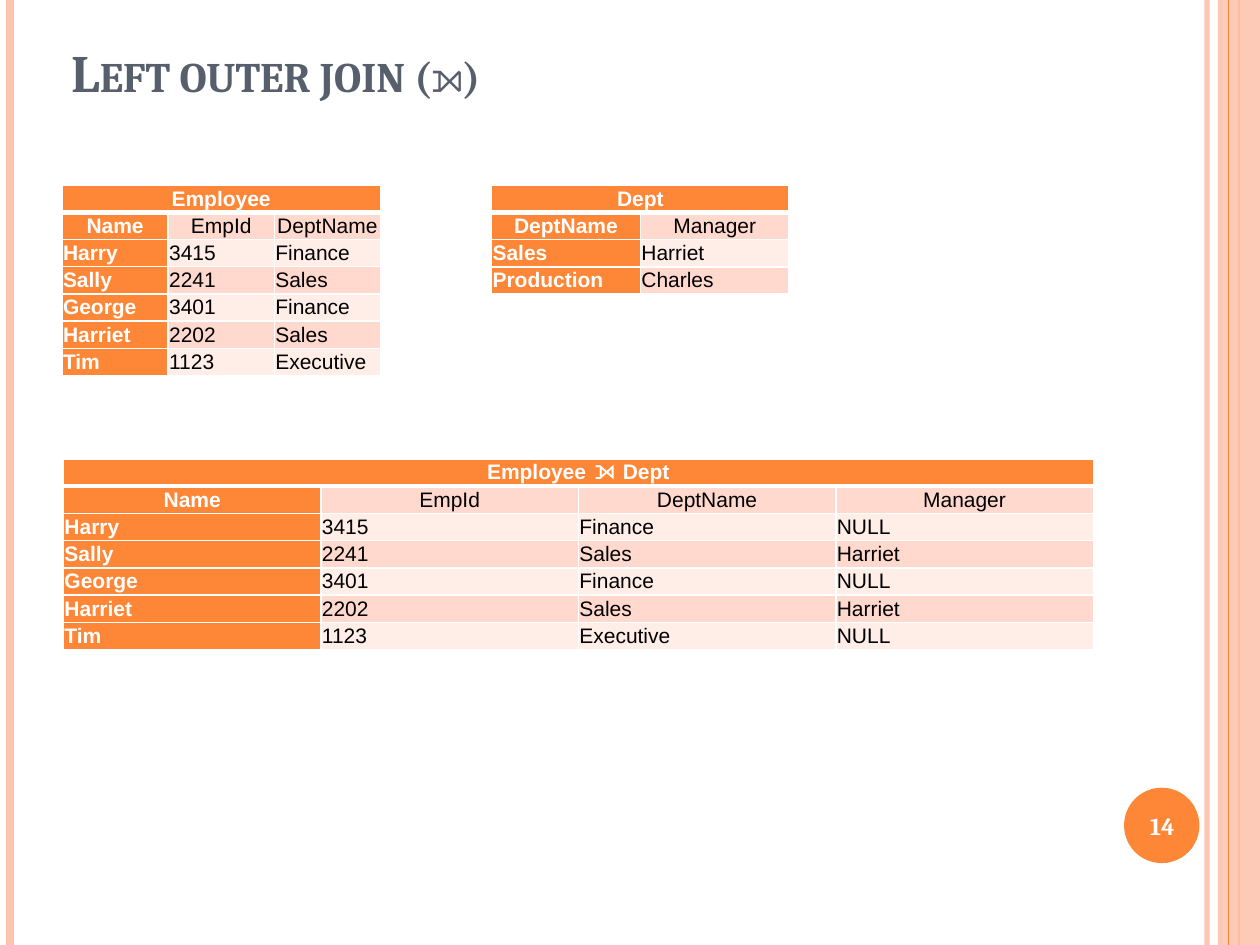
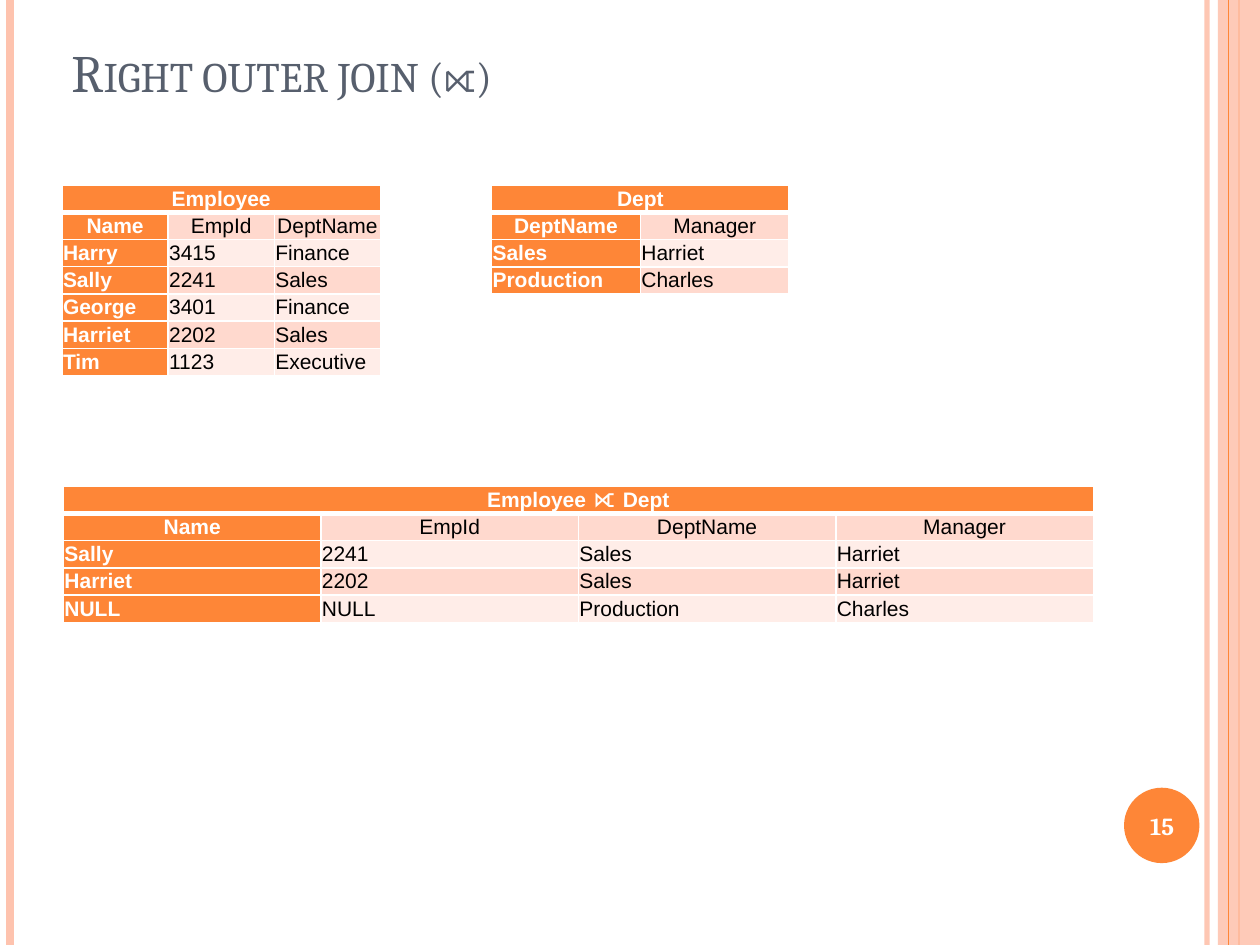
import pptx
import pptx.util
import pptx.dml.color
import pptx.enum.shapes
import pptx.enum.text
import pptx.oxml.ns
from lxml import etree

Cm, Pt = pptx.util.Cm, pptx.util.Pt
qn = pptx.oxml.ns.qn
ALIGN = pptx.enum.text.PP_ALIGN
ANCHOR = pptx.enum.text.MSO_ANCHOR
SHAPE = pptx.enum.shapes.MSO_SHAPE

# Shared look
ORANGE, PEACH, SLATE = "FE8637", "FEC3AE", "575F6D"
BAND_DARK, BAND_LIGHT = "FFD9CE", "FFEDE8"
WHITE, BLACK = "FFFFFF", "000000"
TITLE = {"name": "Cambria", "size": Pt(30), "color": SLATE}
NUMBER = {"name": "Cambria", "size": Pt(14), "color": WHITE, "bold": True}
HEAD_CELL = {"name": "Arial", "size": Pt(12), "color": WHITE, "bold": True}
BODY_CELL = {"name": "Arial", "size": Pt(12), "color": BLACK, "bold": False}
SLIDE_W, SLIDE_H = 25.4, 19.05

# Table contents
EMPLOYEE = [
    ("Name", "EmpId", "DeptName"),
    ("Harry", "3415", "Finance"),
    ("Sally", "2241", "Sales"),
    ("George", "3401", "Finance"),
    ("Harriet", "2202", "Sales"),
    ("Tim", "1123", "Executive"),
]
DEPT = [
    ("DeptName", "Manager"),
    ("Sales", "Harriet"),
    ("Production", "Charles"),
]
JOIN_HEAD = ("Name", "EmpId", "DeptName", "Manager")
LEFT_JOIN = [
    JOIN_HEAD,
    ("Harry", "3415", "Finance", "NULL"),
    ("Sally", "2241", "Sales", "Harriet"),
    ("George", "3401", "Finance", "NULL"),
    ("Harriet", "2202", "Sales", "Harriet"),
    ("Tim", "1123", "Executive", "NULL"),
]
RIGHT_JOIN = [
    JOIN_HEAD,
    ("Sally", "2241", "Sales", "Harriet"),
    ("Harriet", "2202", "Sales", "Harriet"),
    ("NULL", "NULL", "Production", "Charles"),
]


def rgb(color):
    return pptx.dml.color.RGBColor.from_string(color)


def format_font(font, style):
    for key, value in style.items():
        if key == "color":
            font.color.rgb = rgb(value)
        else:
            setattr(font, key, value)


def set_alpha(element, percent):
    clr = next(element.iter(qn("a:srgbClr")))
    etree.SubElement(clr, qn("a:alpha")).set("val", str(percent * 1000))


def write(tf, text, style, align=ALIGN.LEFT):
    p = tf.paragraphs[0]
    p.alignment = align
    r = p.add_run()
    r.text = text
    format_font(r.font, style)
    return r


def add_rule(s, x, color, width, alpha=100):
    """Vertical line over the full slide height."""
    line = s.shapes.add_connector(
        pptx.enum.shapes.MSO_CONNECTOR.STRAIGHT, Cm(x), 0, Cm(x), Cm(SLIDE_H))
    line.line.color.rgb = rgb(color)
    line.line.width = Pt(width)
    sp_pr = line._element.spPr
    if alpha < 100:
        set_alpha(sp_pr, alpha)
    etree.SubElement(sp_pr, qn("a:effectLst"))


def add_filled(s, kind, x, y, w, h, color, alpha=100):
    sp = s.shapes.add_shape(kind, Cm(x), Cm(y), Cm(w), Cm(h))
    sp.shadow.inherit = False
    sp.fill.solid()
    sp.fill.fore_color.rgb = rgb(color)
    sp.line.fill.background()
    if alpha < 100:
        set_alpha(sp._element.spPr, alpha)


def add_text(s, x, y, w, h, text, style, anchor, align=ALIGN.LEFT):
    tf = s.shapes.add_textbox(Cm(x), Cm(y), Cm(w), Cm(h)).text_frame
    tf.word_wrap = True
    tf.vertical_anchor = anchor
    return write(tf, text, style, align)


def add_frame(s, title, number, bold):
    """Side bands, small-caps title and page number."""
    add_rule(s, 24.33, PEACH, 3, alpha=93)
    add_rule(s, 0.21, PEACH, 4.5)
    add_rule(s, 24.98, ORANGE, 1.5)
    add_filled(s, SHAPE.RECTANGLE, 24.55, 0, SLIDE_W - 24.55, SLIDE_H, PEACH, alpha=87)
    add_rule(s, 24.77, ORANGE, 0.75)
    add_filled(s, SHAPE.OVAL, 22.66, 15.88, 1.52, 1.52, ORANGE)
    r = add_text(s, 1.19, 0, 20.75, 2.21, title, {**TITLE, "bold": bold}, ANCHOR.BOTTOM)
    r.font._element.set("cap", "small")
    add_text(s, 22.58, 15.93, 1.7, 1.45, str(number), NUMBER, ANCHOR.MIDDLE, ALIGN.CENTER)


def set_borders(cell, top, bottom):
    tc_pr = cell._tc.get_or_add_tcPr()
    for side, width in {"L": 1, "R": 1, "T": top, "B": bottom}.items():
        ln = etree.SubElement(tc_pr, qn(f"a:ln{side}"), w=str(Pt(width)))
        fill = etree.SubElement(ln, qn("a:solidFill"))
        etree.SubElement(fill, qn("a:srgbClr"), val=WHITE)


def format_cell(cell, fill, top=1, bottom=1):
    set_borders(cell, top, bottom)
    cell.fill.solid()
    cell.fill.fore_color.rgb = rgb(fill)
    cell.vertical_anchor = ANCHOR.MIDDLE
    for side in ("left", "right", "top", "bottom"):
        setattr(cell, f"margin_{side}", Cm(0.02))


def add_relation(s, x, y, col_w, row_h, name, rows):
    """Table with a merged name row, a heading row and banded records."""
    n_rows, n_cols = len(rows) + 1, len(rows[0])
    table = s.shapes.add_table(n_rows, n_cols, Cm(x), Cm(y),
                               Cm(col_w * n_cols), Cm(row_h * n_rows)).table
    table.first_row = table.horz_banding = False
    for col in table.columns:
        col.width = Cm(col_w)
    for row in table.rows:
        row.height = Cm(row_h)

    # Name row
    for cell in table.rows[0].cells:
        format_cell(cell, ORANGE, bottom=3)
    table.cell(0, 0).merge(table.cell(0, n_cols - 1))
    write(table.cell(0, 0).text_frame, name, HEAD_CELL, ALIGN.CENTER)

    # Heading and records
    for i, values in enumerate(rows):
        band = BAND_LIGHT if i % 2 else BAND_DARK
        for j, value in enumerate(values):
            cell = table.cell(i + 1, j)
            format_cell(cell, band if j else ORANGE, top=1 if i else 3)
            write(cell.text_frame, value, BODY_CELL if j else HEAD_CELL,
                  ALIGN.LEFT if i else ALIGN.CENTER)


def add_join_slide(prs, number, title, symbol, bold, join_y, join_rows):
    s = prs.slides.add_slide(prs.slide_layouts[6])
    add_frame(s, f"{title} ({symbol})", number, bold)
    add_relation(s, 1.25, 3.73, 2.14, 0.53, "Employee", EMPLOYEE)
    add_relation(s, 9.91, 3.73, 3, 0.55, "Dept", DEPT)
    add_relation(s, 1.28, join_y, 5.19, 0.53, f"Employee {symbol} Dept", join_rows)


def main():
    prs = pptx.Presentation()
    prs.slide_width, prs.slide_height = Cm(SLIDE_W), Cm(SLIDE_H)
    add_join_slide(prs, 14, "Left outer join", "⟕", True, 9.25, LEFT_JOIN)
    add_join_slide(prs, 15, "Right outer join", "⟖", False, 9.8, RIGHT_JOIN)
    prs.save("out.pptx")


if __name__ == "__main__":
    main()
